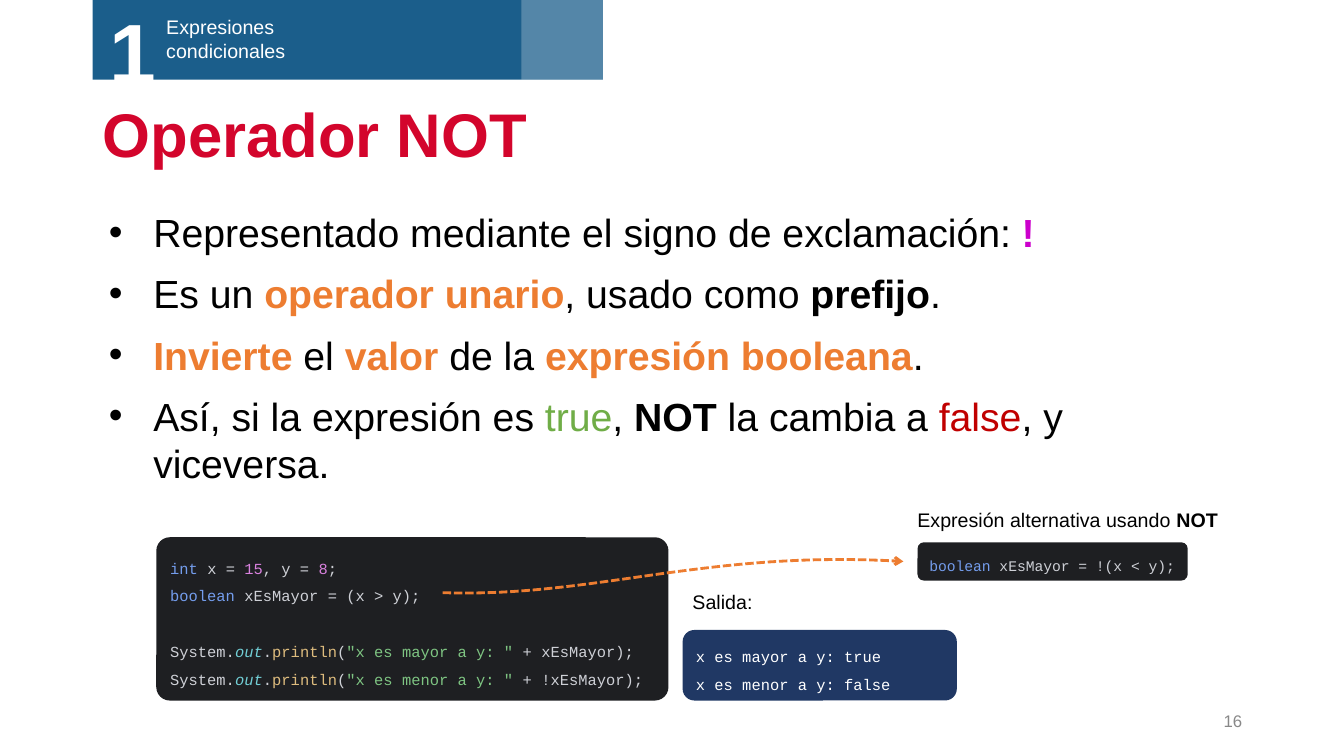
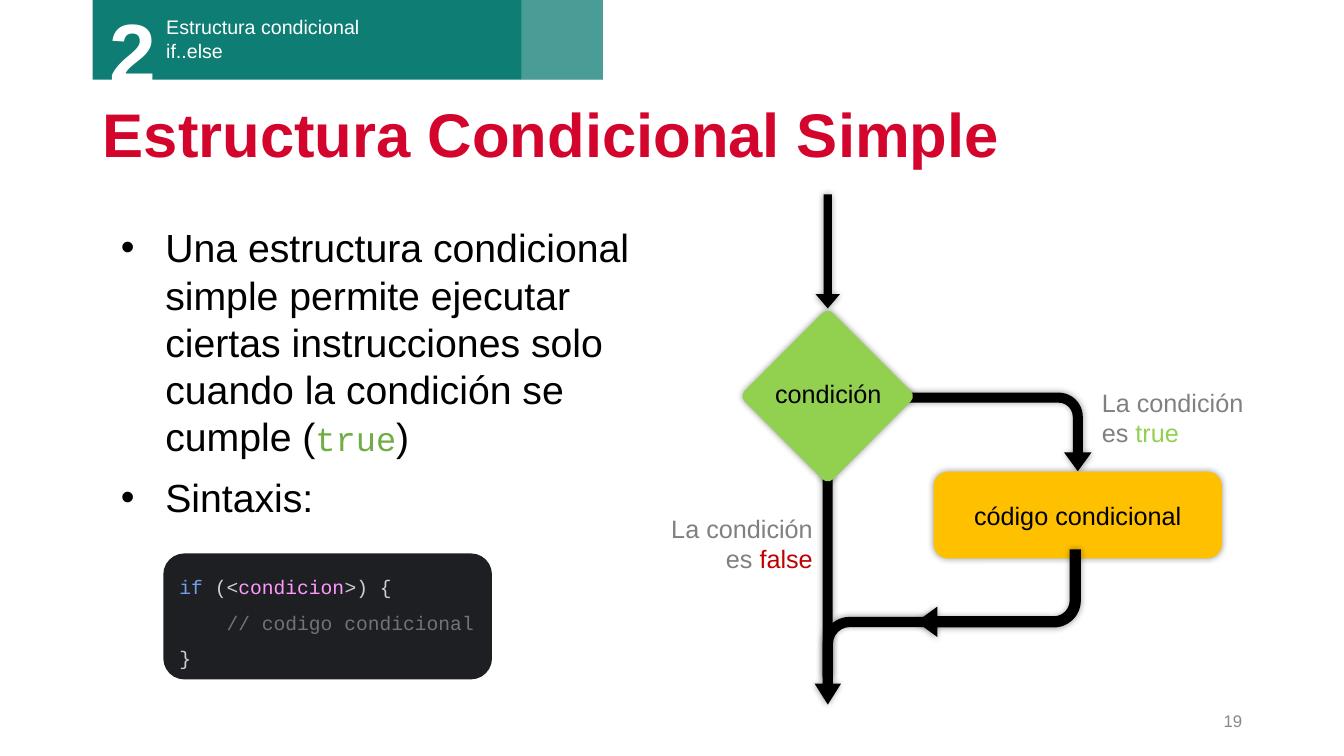
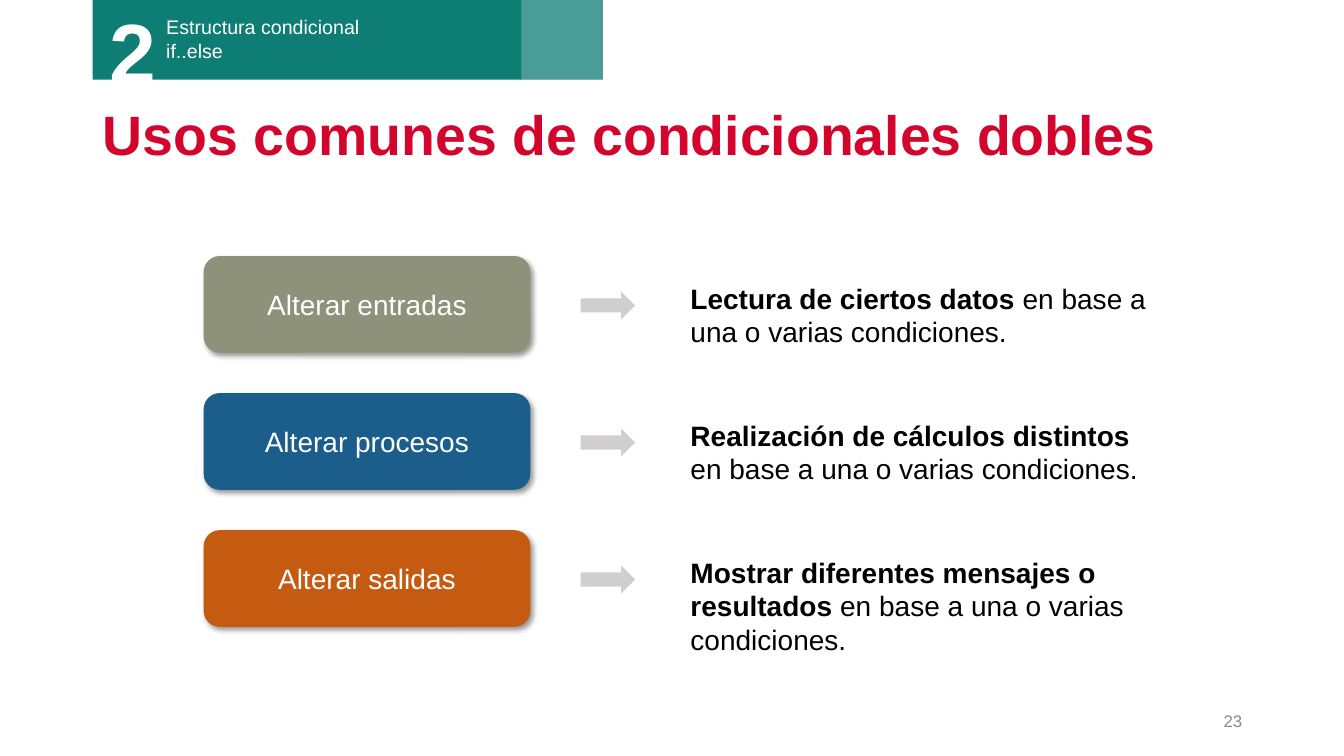
import copy
from collections import namedtuple

from lxml import etree
from pptx import Presentation
from pptx import util as u
from pptx.dml.color import RGBColor
from pptx.enum import dml, shapes, text
from pptx.oxml.ns import qn

EMU_PER_PX = 9144  # 100 px to the inch

# Shared colours
BLACK = RGBColor(0x00, 0x00, 0x00)
WHITE = RGBColor(0xFF, 0xFF, 0xFF)
GREY = RGBColor(0x80, 0x80, 0x80)
PAGE_GREY = RGBColor(0x88, 0x88, 0x88)
ARROW_GREY = RGBColor(0xD0, 0xCE, 0xCE)
TITLE_RED = RGBColor(0xD3, 0x05, 0x2C)
RED = RGBColor(0xC0, 0x00, 0x00)
ORANGE = RGBColor(0xED, 0x7D, 0x31)
RUST = RGBColor(0xC5, 0x5A, 0x11)
AMBER = RGBColor(0xFF, 0xC0, 0x00)
GREEN = RGBColor(0x70, 0xAD, 0x47)
LIME = RGBColor(0x92, 0xD0, 0x50)
MAGENTA = RGBColor(0xCC, 0x00, 0xCC)
OLIVE = RGBColor(0x8E, 0x92, 0x7B)
BLUE = RGBColor(0x1B, 0x5E, 0x8B)
TEAL = RGBColor(0x0E, 0x7D, 0x73)
NAVY = RGBColor(0x20, 0x38, 0x64)

# Code colours
EDITOR = RGBColor(0x1E, 0x1F, 0x22)
PLAIN = RGBColor(0xCE, 0xD0, 0xD6)
KEYWORD = RGBColor(0x74, 0x9D, 0xED)
NUMBER = RGBColor(0xD9, 0x81, 0xDE)
FIELD = RGBColor(0x72, 0xCF, 0xD6)
METHOD = RGBColor(0xDE, 0xBC, 0x7E)
STRING = RGBColor(0x7E, 0xC4, 0x82)
HOLE = RGBColor(0xFF, 0x99, 0xFF)
COMMENT = RGBColor(0x6F, 0x73, 0x7A)

SANS, MONO = "Arial", "Courier New"
LEFT, CENTER, RIGHT = text.PP_ALIGN.LEFT, text.PP_ALIGN.CENTER, text.PP_ALIGN.RIGHT
TOP, MIDDLE = text.MSO_ANCHOR.TOP, text.MSO_ANCHOR.MIDDLE
SHAPE = shapes.MSO_SHAPE

Run = namedtuple("Run", "text color bold italic font size",
                 defaults=(BLACK, False, False, None, None))


def px(value):
    return u.Emu(round(value * EMU_PER_PX))


def box(left, top, width, height):
    return px(left), px(top), px(width), px(height)


# Text
def add_runs(paragraph, runs, size, font=SANS):
    for part in runs:
        for index, line in enumerate(part.text.split("\n")):
            if index:
                paragraph.add_line_break()
                line_break = paragraph._p[-1]
                line_break.append(copy.deepcopy(paragraph.runs[-1]._r.rPr))
            if line:
                run = paragraph.add_run()
                run.text = line
                run.font.name = part.font or font
                run.font.size = u.Pt(part.size or size)
                run.font.bold = part.bold
                run.font.italic = part.italic
                run.font.color.rgb = part.color


def write(shape, paragraphs, size, font=SANS, align=LEFT, anchor=TOP,
          wrap=True, spacing=None):
    frame = shape.text_frame
    frame.auto_size = text.MSO_AUTO_SIZE.NONE
    frame.word_wrap = wrap
    frame.vertical_anchor = anchor
    for index, runs in enumerate(paragraphs):
        paragraph = frame.add_paragraph() if index else frame.paragraphs[0]
        paragraph.alignment = align
        if spacing:
            paragraph.line_spacing = spacing
        add_runs(paragraph, runs, size, font)


def add_text(slide, bounds, runs, size, **options):
    write(slide.shapes.add_textbox(*box(*bounds)), [runs], size, **options)


def add_bullets(slide, bounds, items):
    body = slide.placeholders[1]
    body.left, body.top, body.width, body.height = box(*bounds)
    write(body, items, 28)
    for index, paragraph in enumerate(body.text_frame.paragraphs):
        properties = paragraph._p.get_or_add_pPr()
        properties.set("marL", str(px(50)))
        properties.set("indent", str(px(-44)))
        color = etree.SubElement(properties, qn("a:buClr"))
        etree.SubElement(color, qn("a:srgbClr"), val=str(BLACK))
        etree.SubElement(properties, qn("a:buFont"), typeface=SANS)
        etree.SubElement(properties, qn("a:buChar"), char="•")
        paragraph.space_before = u.Pt(10 if index else 0)


# Shapes
def add_shape(slide, kind, bounds, color, adjustments=(), rotation=0):
    shape = slide.shapes.add_shape(kind, *box(*bounds))
    shape.shadow.inherit = False
    shape.fill.solid()
    shape.fill.fore_color.rgb = color
    shape.line.fill.background()
    shape.rotation = rotation
    for index, value in enumerate(adjustments):
        shape.adjustments[index] = value
    return shape


def set_opacity(shape, percent):
    color = shape._element.spPr.find(qn("a:solidFill")).find(qn("a:srgbClr"))
    etree.SubElement(color, qn("a:alpha"), val=str(percent * 1000))


def add_shadow(shape, percent, blur, distance=0, angle=0):
    effects = shape._element.spPr.find(qn("a:effectLst"))
    shadow = etree.SubElement(
        effects, qn("a:outerShdw"), blurRad=str(u.Pt(blur)),
        dist=str(u.Pt(distance)), dir=str(angle * 60000),
        algn="ctr", rotWithShape="0")
    color = etree.SubElement(shadow, qn("a:srgbClr"), val=str(BLACK))
    etree.SubElement(color, qn("a:alpha"), val=str(percent * 1000))


def add_code(slide, bounds, runs, size, color=EDITOR, adjustments=(),
             anchor=MIDDLE, wrap=False):
    panel = add_shape(slide, SHAPE.ROUNDED_RECTANGLE, bounds, color, adjustments)
    write(panel, runs, size, font=MONO, anchor=anchor, wrap=wrap, spacing=1.5)


def add_curved_arrow(slide, points, color):
    steps = 32
    curve = []
    for step in range(steps + 1):
        t = step / steps
        weights = ((1 - t) ** 3, 3 * t * (1 - t) ** 2, 3 * t * t * (1 - t), t ** 3)
        curve.append(tuple(px(sum(w * point[axis] for w, point in zip(weights, points)))
                           for axis in (0, 1)))
    builder = slide.shapes.build_freeform(*curve[0], scale=1.0)
    builder.add_line_segments(curve[1:], close=False)
    arrow = builder.convert_to_shape()
    arrow.shadow.inherit = False
    arrow.fill.background()
    arrow.line.color.rgb = color
    arrow.line.width = u.Pt(2)
    arrow.line.dash_style = dml.MSO_LINE.SQUARE_DOT
    etree.SubElement(arrow.line._get_or_add_ln(), qn("a:tailEnd"), type="arrow")


# Parts that every slide shares
def add_slide(presentation, layout, section, title, page, title_size=44):
    slide = presentation.slides.add_slide(presentation.slide_layouts[layout])
    number, label, color = section
    add_shape(slide, SHAPE.RECTANGLE, (92, -1, 506, 80), color)
    add_text(slide, (155, 10, 275, 57), [Run(label, WHITE)], 14)
    add_text(slide, (99, -5, 112, 111), [Run(number, WHITE, bold=True)], 60)
    set_opacity(add_shape(slide, SHAPE.RECTANGLE, (517, -1, 81, 80), WHITE), 25)

    heading = slide.shapes.title
    heading.left, heading.top, heading.width, heading.height = box(92, 93, 1150, 86)
    write(heading, [[Run(title, TITLE_RED, bold=True)]], title_size,
          anchor=MIDDLE, spacing=0.9)
    add_text(slide, (942, 695, 300, 40), [Run(page, PAGE_GREY)], 12,
             align=RIGHT, anchor=MIDDLE)
    return slide


EXPRESSIONS = ("1", "Expresiones\ncondicionales", BLUE)
IF_ELSE = ("2", "Estructura condicional\nif..else", TEAL)


def print_call(message, value):
    return [Run("System.", PLAIN), Run("out", FIELD, italic=True), Run(".", PLAIN),
            Run("println", METHOD), Run("(", PLAIN), Run(f'"{message}" ', STRING),
            Run(f"+ {value});", PLAIN)]


def build_not_operator(presentation):
    slide = add_slide(presentation, 1, EXPRESSIONS, "Operador NOT", "16")
    add_bullets(slide, (92, 202, 1150, 478), [
        [Run("Representado mediante el signo de exclamación: "),
         Run("!", MAGENTA, bold=True)],
        [Run("Es un "), Run("operador unario", ORANGE, bold=True),
         Run(", usado como "), Run("prefijo", bold=True), Run(".")],
        [Run("Invierte", ORANGE, bold=True), Run(" el "),
         Run("valor", ORANGE, bold=True), Run(" de la "),
         Run("expresión booleana", ORANGE, bold=True), Run(".")],
        [Run("Así, si la expresión es "), Run("true", GREEN), Run(", "),
         Run("NOT", bold=True), Run(" la cambia a "), Run("false", RED),
         Run(", y viceversa.")],
    ])

    # Program, its output and the alternative expression
    add_code(slide, (155, 533, 508, 162), [[
        Run("int ", KEYWORD), Run("x = ", PLAIN), Run("15", NUMBER),
        Run(", y = ", PLAIN), Run("8", NUMBER), Run(";\n", PLAIN),
        Run("boolean ", KEYWORD), Run("xEsMayor = (x > y);\n\n", PLAIN),
        *print_call("x es mayor a y: ", "xEsMayor"), Run("\n", PLAIN),
        *print_call("x es menor a y: ", "!xEsMayor"),
    ]], 11, adjustments=[0.083])
    add_code(slide, (677, 625, 272, 70), [
        [Run("x es mayor a y: true", WHITE)],
        [Run("x es menor a y: false", WHITE)],
    ], 11, color=NAVY, anchor=TOP, wrap=True)
    add_text(slide, (677, 580, 80, 34), [Run("Salida:")], 14, wrap=False)
    add_text(slide, (900, 499, 319, 34),
             [Run("Expresión alternativa usando "), Run("NOT", bold=True)],
             14, wrap=False)
    add_code(slide, (910, 538, 268, 38),
             [[Run("boolean ", KEYWORD), Run("xEsMayor = !(x < y);", PLAIN)]], 10.5)
    add_curved_arrow(slide, [(439, 588), (591, 593), (700, 545), (896, 557)], ORANGE)


def build_simple_conditional(presentation):
    slide = add_slide(presentation, 1, IF_ELSE, "Estructura Condicional Simple", "19")
    add_bullets(slide, (104, 217, 579, 478), [
        [Run("Una estructura condicional simple permite ejecutar ciertas "
             "instrucciones solo cuando la condición se cumple ("),
         Run("true", GREEN, font=MONO, size=24), Run(")")],
        [Run("Sintaxis:")],
    ])

    # Flowchart
    bend = (0.128, 0.174, 0.238, 0.308)
    merge_bend = (0.117, 0.15, 0.238, 0.308)

    def add_node(*details):
        node = add_shape(slide, *details)
        add_shadow(node, 40, 5)
        return node

    add_node(SHAPE.DOWN_ARROW, (809, 193, 24, 113), BLACK, (0.333, 0.584))
    add_node(SHAPE.BENT_ARROW, (950, 335, 78, 187), BLACK, bend, 90)
    merge = add_node(SHAPE.BENT_ARROW, (824, 596, 87, 119), BLACK, merge_bend, 90)
    merge._element.spPr.find(qn("a:xfrm")).set("flipV", "1")
    add_node(SHAPE.RECTANGLE, (816, 469, 10, 203), BLACK)
    add_node(SHAPE.ROUNDED_RECTANGLE, (759, 331, 124, 124), LIME, (0.061,), 315)
    action = add_node(SHAPE.ROUNDED_RECTANGLE, (926, 468, 286, 86), AMBER)
    write(action, [[Run("código condicional")]], 18, align=CENTER, anchor=MIDDLE)
    add_text(slide, (758, 370, 127, 40), [Run("condición")], 18,
             align=CENTER, wrap=False)
    add_text(slide, (1083, 379, 167, 71),
             [Run("La condición es ", GREY), Run("true", LIME)], 18)
    add_text(slide, (650, 504, 166, 71),
             [Run("La condición es ", GREY), Run("false", RED)], 18, align=RIGHT)
    add_node(SHAPE.BENT_ARROW, (909, 545, 163, 87), BLACK, bend, 180)

    # Syntax
    add_code(slide, (162, 549, 326, 125), [[
        Run("if ", KEYWORD), Run("(<", PLAIN), Run("condicion", HOLE),
        Run(">) {\n    ", PLAIN), Run("// codigo condicional\n", COMMENT),
        Run("}", PLAIN),
    ]], 14)


def build_common_uses(presentation):
    slide = add_slide(presentation, 5, IF_ELSE,
                      "Usos comunes de condicionales dobles", "23", 39.6)
    uses = [
        ("Alterar entradas", OLIVE, "Lectura de ciertos datos", 77),
        ("Alterar procesos", BLUE, "Realización de cálculos distintos", 77),
        ("Alterar salidas", RUST, "Mostrar diferentes mensajes o resultados", 111),
    ]
    for row, (name, color, purpose, height) in enumerate(uses):
        top = 254 + 136 * row
        card = add_shape(slide, SHAPE.ROUNDED_RECTANGLE, (202, top, 324, 96), color)
        add_shadow(card, 40, 4, 3, 45)
        write(card, [[Run(name, WHITE)]], 20, align=CENTER, anchor=MIDDLE)
        add_text(slide, (675, top + 20, 477, height),
                 [Run(purpose, bold=True),
                  Run(" en base a una o varias condiciones.")], 20)
        add_shape(slide, SHAPE.RIGHT_ARROW, (576, top + 35, 54, 28), ARROW_GREY)


def main():
    presentation = Presentation()
    presentation.slide_width, presentation.slide_height = px(1333), px(750)
    build_not_operator(presentation)
    build_simple_conditional(presentation)
    build_common_uses(presentation)
    presentation.save("out.pptx")


if __name__ == "__main__":
    main()
